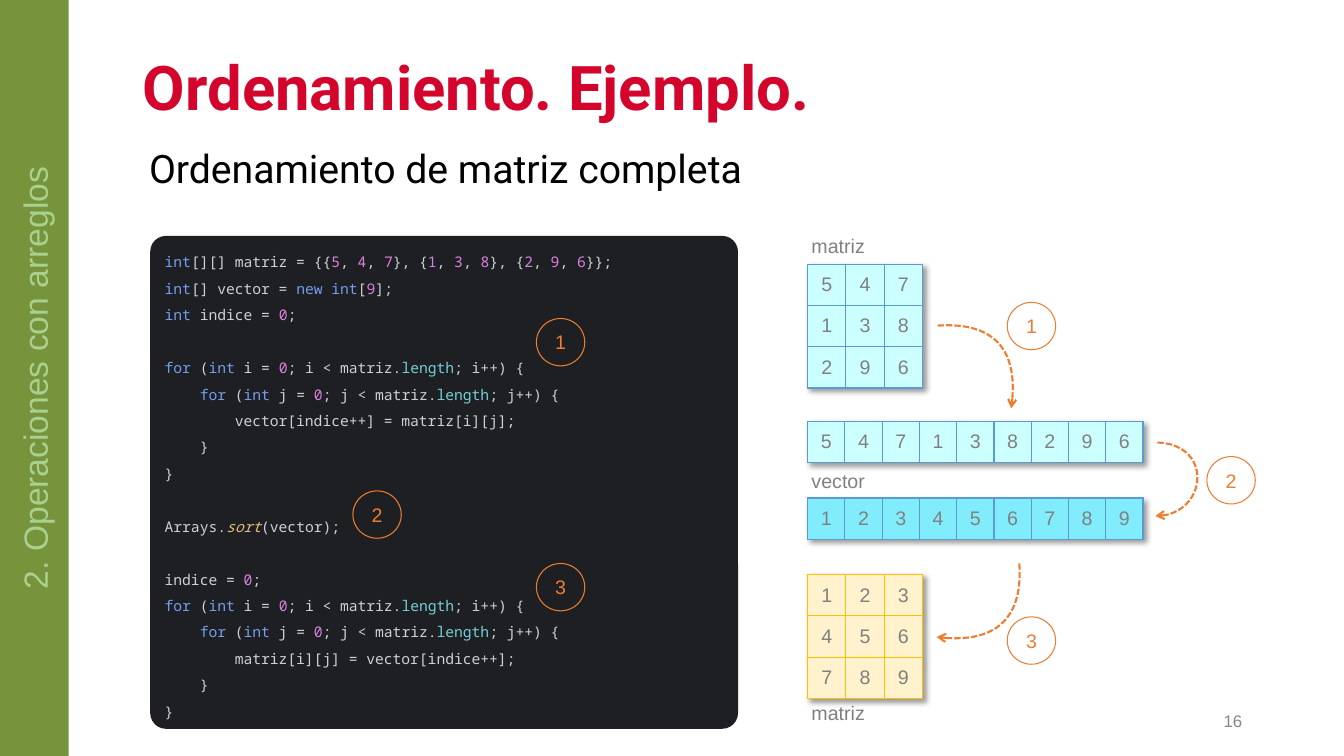
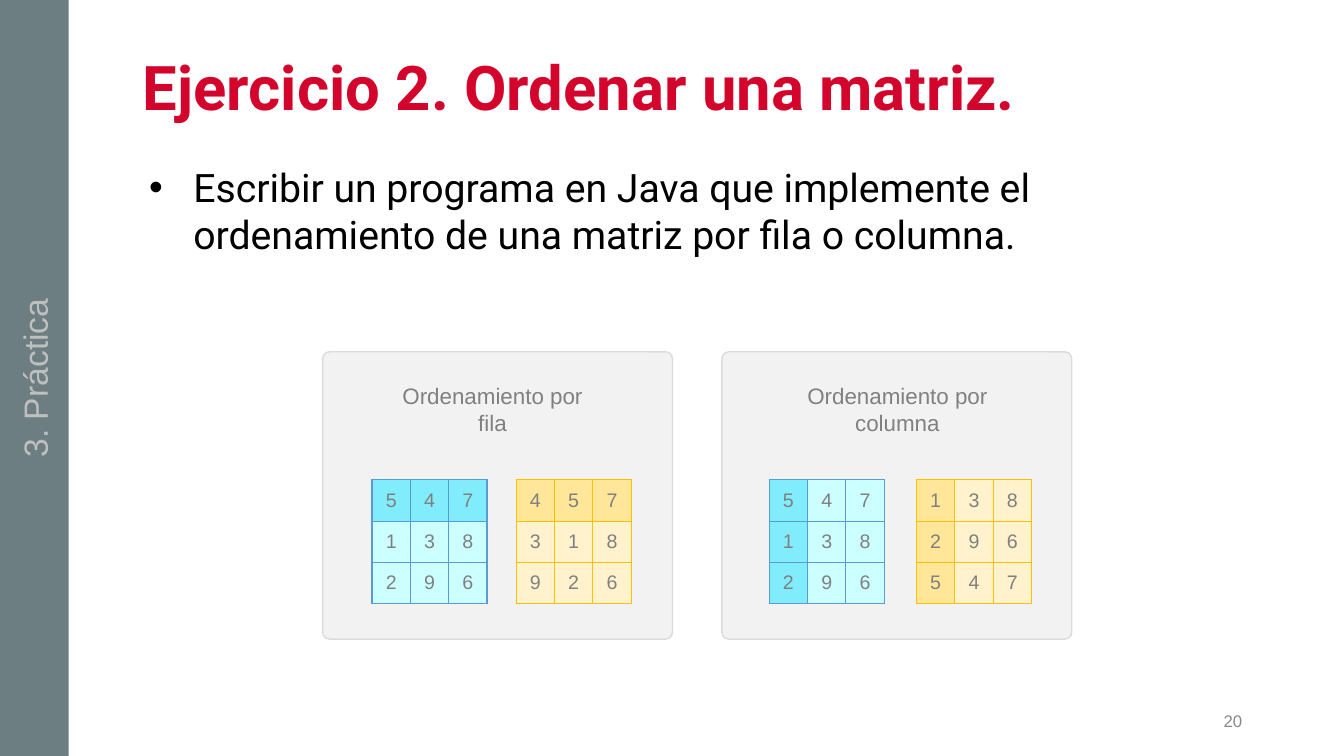
from itertools import groupby

from lxml.etree import SubElement
from pptx import Presentation
from pptx.dml.color import RGBColor
from pptx.enum.dml import MSO_LINE
from pptx.enum.shapes import MSO_SHAPE as Shape
from pptx.enum.text import MSO_ANCHOR as Anchor, PP_ALIGN as Align
from pptx.oxml import parse_xml
from pptx.oxml.ns import nsdecls, qn
from pptx.util import Inches, Pt

RED = RGBColor(0xD3, 0x05, 0x2C)
BLACK = RGBColor(0, 0, 0)
GRAY = RGBColor(0x80, 0x80, 0x80)
NUMBER_GRAY = RGBColor(0x88, 0x88, 0x88)
GREEN = RGBColor(0x77, 0x93, 0x3C)
PALE_GREEN = RGBColor(0xA9, 0xD1, 0x8E)
SLATE = RGBColor(0x6C, 0x7E, 0x82)
SILVER = RGBColor(0xBF, 0xBF, 0xBF)
PANEL = RGBColor(0xF2, 0xF2, 0xF2)
PANEL_EDGE = RGBColor(0xDB, 0xDB, 0xDB)
BLUE = RGBColor(0x5B, 0x9B, 0xD5)
PALE_CYAN = RGBColor(0xCC, 0xFF, 0xFF)
CYAN = RGBColor(0x81, 0xEC, 0xFB)
GOLD = RGBColor(0xFF, 0xC0, 0x00)
CREAM = RGBColor(0xFF, 0xF2, 0xCC)
YELLOW = RGBColor(0xFF, 0xE6, 0x99)
ORANGE = RGBColor(0xED, 0x7D, 0x31)
CODE_BACK = RGBColor(0x1E, 0x1F, 0x22)
CODE_TEXT = RGBColor(0xCE, 0xD0, 0xD6)
CODE_NUMBER = RGBColor(0xD9, 0x81, 0xDE)
KEYWORD = RGBColor(0x74, 0x9D, 0xED)
FIELD = RGBColor(0x72, 0xCF, 0xD6)
METHOD = RGBColor(0xDE, 0xBC, 0x7E)
WORD_COLORS = {"int": KEYWORD, "for": KEYWORD, "new": KEYWORD, "length": FIELD, "sort": METHOD}

CODE = """int[][] matriz = {{5, 4, 7}, {1, 3, 8}, {2, 9, 6}};
int[] vector = new int[9];
int indice = 0;

for (int i = 0; i < matriz.length; i++) {
    for (int j = 0; j < matriz.length; j++) {
        vector[indice++] = matriz[i][j];
    }
}

Arrays.sort(vector);

indice = 0;
for (int i = 0; i < matriz.length; i++) {
    for (int j = 0; j < matriz.length; j++) {
        matriz[i][j] = vector[indice++];
    }
}"""

SHADOW = (
    f'<a:effectLst {nsdecls("a")}><a:outerShdw blurRad="50800" dist="38100" dir="2700000" '
    'algn="tl" rotWithShape="0"><a:srgbClr val="000000"><a:alpha val="40000"/></a:srgbClr>'
    "</a:outerShdw></a:effectLst>"
)


def write(box, text, size=14, color=GRAY, font="Arial", bold=False, align=Align.LEFT,
          anchor=Anchor.TOP, spacing=None):
    frame = box.text_frame
    frame.word_wrap = True
    frame.vertical_anchor = anchor
    para = frame.paragraphs[0]
    para.alignment = align
    para.line_spacing = spacing
    span = para.add_run()
    span.text = text
    span.font.size = Pt(size)
    span.font.name = font
    span.font.bold = bold
    span.font.color.rgb = color
    return para


def add_grid(page, left, top, rows, fill, border, column=0.38, strong=None,
             strong_cells=(), shadow=False):
    frame = page.shapes.add_table(len(rows), len(rows[0]), Inches(left), Inches(top),
                                  Inches(column * len(rows[0])), Inches(0.41 * len(rows)))
    table = frame.table
    table.first_row = table.horz_banding = False
    for line in table.rows:
        line.height = Inches(0.41)
    for line in table.columns:
        line.width = Inches(column)
    if shadow:
        table._tbl.tblPr.insert(0, parse_xml(SHADOW))
    for r, digits in enumerate(rows):
        for c, digit in enumerate(digits):
            cell = table.cell(r, c)
            write(cell, digit, align=Align.CENTER)
            cell.vertical_anchor = Anchor.MIDDLE
            properties = cell._tc.get_or_add_tcPr()
            for side in ("lnL", "lnR", "lnT", "lnB"):
                edge = SubElement(properties, qn(f"a:{side}"), w=str(Pt(1)))
                paint = SubElement(edge, qn("a:solidFill"))
                SubElement(paint, qn("a:srgbClr"), val=str(border))
            cell.fill.solid()
            cell.fill.fore_color.rgb = strong if (r, c) in strong_cells else fill


deck = Presentation()
deck.slide_width = Inches(13.33)
deck.slide_height = Inches(7.5)

pages = []
for title, section, band_color, section_color, number, body, body_top, margin, indent in (
    ("Ordenamiento. Ejemplo.", "2. Operaciones con arreglos", GREEN, PALE_GREEN, "16",
     "Ordenamiento de matriz completa", 1.38, 0.06, 0),
    ("Ejercicio 2. Ordenar una matriz.", "3. Práctica", SLATE, SILVER, "20",
     "Escribir un programa en Java que implemente el ordenamiento de una matriz por fila o columna.",
     1.57, 0.5, -0.44),
):
    page = deck.slides.add_slide(deck.slide_layouts[6])
    pages.append(page)
    box = page.shapes.add_textbox(Inches(1.32), Inches(0.47), Inches(11.1), Inches(0.86))
    write(box, title, size=44, color=RED, font="Roboto", bold=True, anchor=Anchor.MIDDLE, spacing=0.9)
    box = page.shapes.add_textbox(Inches(9.42), Inches(6.95), Inches(3), Inches(0.4))
    write(box, number, size=12, color=NUMBER_GRAY, align=Align.RIGHT, anchor=Anchor.MIDDLE)
    box = page.shapes.add_textbox(Inches(1.32), Inches(body_top), Inches(11.1), Inches(5.23))
    para = write(box, body, size=28, color=BLACK, font="Roboto")
    layout = para._p.get_or_add_pPr()
    layout.set("marL", str(Inches(margin)))
    layout.set("indent", str(Inches(indent)))
    if indent:
        SubElement(layout, qn("a:buFont"), typeface="Arial")
        SubElement(layout, qn("a:buChar"), char="•")
    band = page.shapes.add_shape(Shape.RECTANGLE, 0, 0, Inches(0.68), deck.slide_height)
    band.shadow.inherit = False
    band.fill.solid()
    band.fill.fore_color.rgb = band_color
    band.line.fill.background()
    write(band, section, size=24, color=section_color, align=Align.CENTER, anchor=Anchor.MIDDLE)
    band.text_frame._txBody.bodyPr.set("vert", "vert270")

example, exercise = pages

panel = example.shapes.add_shape(Shape.ROUNDED_RECTANGLE, Inches(1.49), Inches(2.34),
                                 Inches(5.83), Inches(4.89))
panel.adjustments[0] = 0.032
panel.shadow.inherit = False
panel.fill.solid()
panel.fill.fore_color.rgb = CODE_BACK
panel.line.fill.background()
panel.text_frame.word_wrap = True
panel.text_frame.vertical_anchor = Anchor.MIDDLE
para = panel.text_frame.paragraphs[0]
para.alignment = Align.LEFT
para.line_spacing = 1.5
for index, line in enumerate(CODE.split("\n")):
    if index:
        para.add_line_break()
        mark = SubElement(para._p[-1], qn("a:rPr"), sz="1050")
        SubElement(mark, qn("a:latin"), typeface="Noto Sans Mono")
    for kind, letters in groupby(line, lambda letter: (letter.isalpha(), letter.isdigit())):
        word = "".join(letters)
        span = para.add_run()
        span.text = word
        span.font.size = Pt(10.5)
        span.font.name = "Noto Sans Mono"
        span.font.italic = word == "sort"
        span.font.color.rgb = CODE_NUMBER if kind[1] else WORD_COLORS.get(word, CODE_TEXT)

add_grid(example, 8.01, 2.62, ("547", "138", "296"), PALE_CYAN, BLUE, shadow=True)
add_grid(example, 8.01, 5.7, ("123", "456", "789"), CREAM, GOLD, shadow=True)
add_grid(example, 8.01, 4.18, ("547138296",), PALE_CYAN, BLUE, column=0.37, shadow=True)
add_grid(example, 8.01, 4.94, ("123456789",), CYAN, BLUE, column=0.37, shadow=True)

for curve in (
    ((9.3, 3.23), (9.89, 3.19), (10.11, 3.5), (10.03, 4.05)),
    ((10.11, 5.59), (10.15, 6.17), (9.84, 6.39), (9.29, 6.32)),
    ((11.48, 4.39), (12.05, 4.41), (11.97, 5.12), (11.46, 5.12)),
):
    points = []
    for step in range(25):
        t = step / 24
        weights = ((1 - t) ** 3, 3 * t * (1 - t) ** 2, 3 * t ** 2 * (1 - t), t ** 3)
        points.append([Inches(sum(w * point[axis] for w, point in zip(weights, curve)))
                       for axis in (0, 1)])
    builder = example.shapes.build_freeform(*points[0])
    builder.add_line_segments(points[1:], close=False)
    arrow = builder.convert_to_shape()
    arrow.shadow.inherit = False
    arrow.fill.background()
    arrow.line.color.rgb = ORANGE
    arrow.line.width = Pt(1.5)
    arrow.line.dash_style = MSO_LINE.SQUARE_DOT
    SubElement(arrow.line._get_or_add_ln(), qn("a:tailEnd"), type="arrow")

for label, top in (("matriz", 2.27), ("vector", 4.6), ("matriz", 6.9)):
    box = example.shapes.add_textbox(Inches(7.95), Inches(top), Inches(2.83), Inches(0.34))
    write(box, label)

for step, left, top in (("1", 9.99, 3), ("2", 11.97, 4.53), ("3", 9.99, 6.12),
                        ("1", 5.32, 3.16), ("2", 3.5, 4.87), ("3", 5.32, 5.59)):
    circle = example.shapes.add_shape(Shape.OVAL, Inches(left), Inches(top), Inches(0.48), Inches(0.47))
    circle.shadow.inherit = False
    circle.fill.background()
    circle.line.color.rgb = ORANGE
    circle.line.width = Pt(0.75)
    write(circle, step, color=ORANGE, align=Align.CENTER, anchor=Anchor.MIDDLE)

first_row = [(0, c) for c in range(3)]
first_column = [(r, 0) for r in range(3)]
for panel_left, label, label_left, label_width, before_left, after_left, after, marked in (
    (3.2, "Ordenamiento por fila", 3.82, 2.13, 3.69, 5.12, ("457", "318", "926"), first_row),
    (7.16, "Ordenamiento por columna", 7.89, 2.02, 7.63, 9.09, ("138", "296", "547"), first_column),
):
    panel = exercise.shapes.add_shape(Shape.ROUNDED_RECTANGLE, Inches(panel_left), Inches(3.49),
                                      Inches(3.47), Inches(2.85))
    panel.adjustments[0] = 0.024
    panel.shadow.inherit = False
    panel.fill.solid()
    panel.fill.fore_color.rgb = PANEL
    panel.line.color.rgb = PANEL_EDGE
    panel.line.width = Pt(1)
    box = exercise.shapes.add_textbox(Inches(label_left), Inches(3.74), Inches(label_width), Inches(0.64))
    write(box, label, size=16, align=Align.CENTER)
    add_grid(exercise, before_left, 4.76, ("547", "138", "296"), PALE_CYAN, BLUE,
             strong=CYAN, strong_cells=marked)
    add_grid(exercise, after_left, 4.76, after, CREAM, GOLD, strong=YELLOW, strong_cells=marked)

deck.save("out.pptx")
